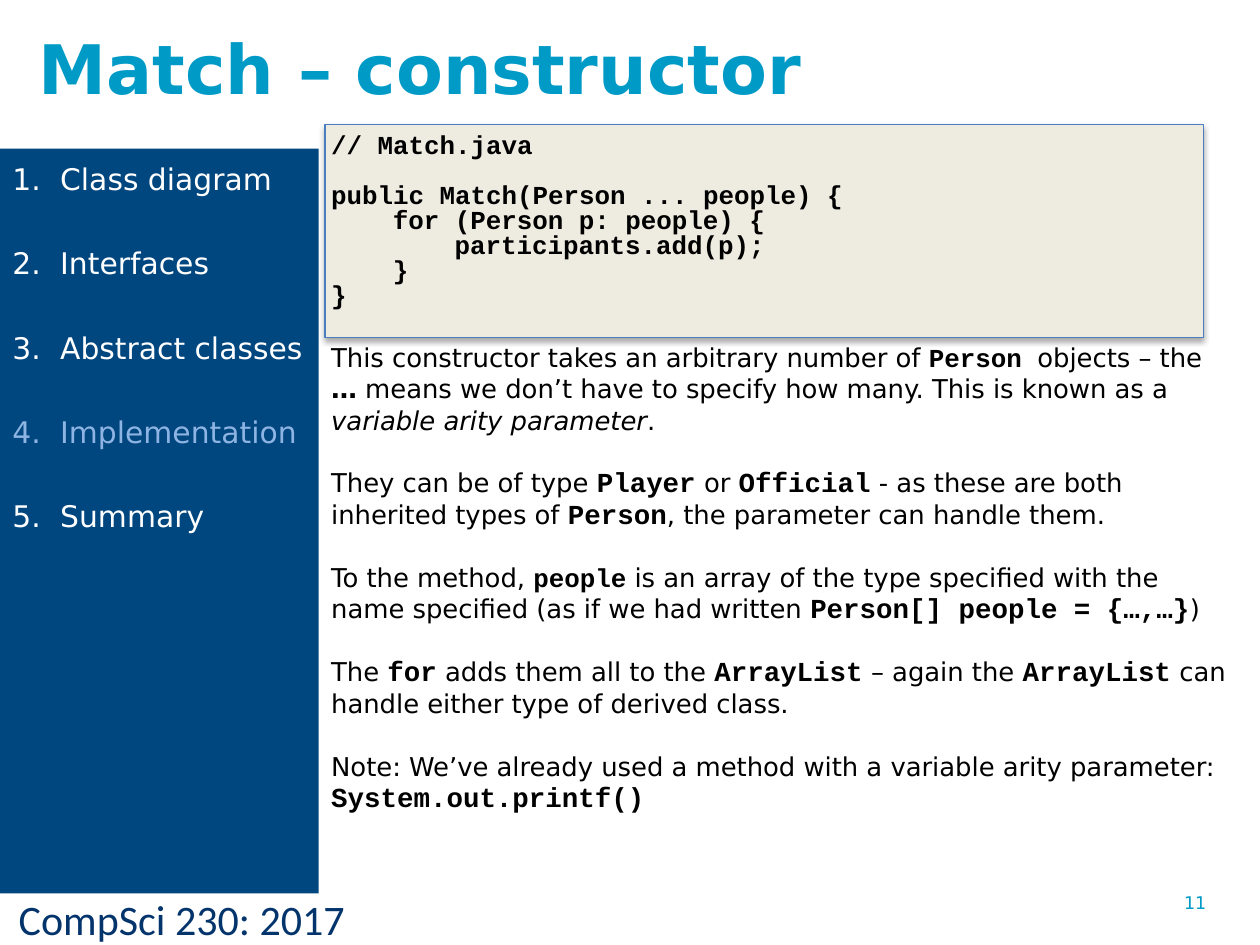
from dataclasses import dataclass

from lxml.etree import SubElement
from pptx import Presentation
from pptx.dml.color import RGBColor as Color
from pptx.enum.shapes import MSO_SHAPE as Shape
from pptx.enum.text import MSO_ANCHOR as Anchor, PP_ALIGN as Align
from pptx.oxml.ns import qn
from pptx.util import Inches, Pt


@dataclass(frozen=True)
class Theme:
    """Colours, fonts and type sizes of the slide."""
    sans: str = "DejaVu Sans"
    mono: str = "Courier New"
    footer_font: str = "Calibri"
    accent: str = "009AC7"
    ink: str = "000000"
    white: str = "FFFFFF"
    sidebar: str = "00467F"
    current: str = "8EB4E3"
    footer: str = "04346C"
    panel: str = "EEECE1"
    panel_line: str = "4B7EBC"
    title_size: float = 39
    footer_size: float = 24
    topic_size: float = 17
    body_size: float = 14.8
    keyword_size: float = 15.7
    number_size: float = 10


THEME = Theme()
WIDTH, HEIGHT = Inches(10), Inches(7.5)
CODE_INDENT = Inches(0.49)
TOPIC_INDENT = Inches(0.38)

STYLES = {
    "plain": {},
    "bold": {"bold": True},
    "italic": {"italic": True},
    "code": {"font": THEME.mono, "bold": True},
    "keyword": {"font": THEME.mono, "bold": True, "size": THEME.keyword_size},
}

TOPICS = ["Class diagram", "Interfaces", "Abstract classes", "Implementation", "Summary"]
CURRENT_TOPIC = "Implementation"

CODE = [
    (0, "// Match.java"),
    (0, "public Match(Person ... people) {"),
    (1, "for (Person p: people) {"),
    (2, "participants.add(p);"),
    (1, "}"),
    (0, "}"),
]

PROSE = [
    [("This constructor takes an arbitrary number of ", "plain"), ("Person ", "code"),
     ("objects – the ", "plain"), ("…", "bold"),
     (" means we don’t have to specify how many. This is known as a ", "plain"),
     ("variable arity parameter", "italic"), (".", "plain")],
    [("They can be of type ", "plain"), ("Player", "keyword"), (" or ", "plain"),
     ("Official", "keyword"), (" - as these are both inherited types of ", "plain"),
     ("Person", "keyword"), (", the parameter can handle them.", "plain")],
    [("To the method, ", "plain"), ("people", "code"),
     (" is an array of the type specified with the name specified (as if we had written ",
      "plain"), ("Person[] people = {…,…}", "keyword"), (")", "plain")],
    [("The ", "plain"), ("for", "keyword"), (" adds them all to the ", "plain"),
     ("ArrayList", "keyword"), (" – again the ", "plain"), ("ArrayList", "keyword"),
     (" can handle either type of derived class.", "plain")],
    [("Note: We’ve already used a method with a variable arity parameter: ", "plain"),
     ("System.out.printf()", "keyword")],
]


def place(left, top, width, height):
    """Turn percentages of the slide's size into lengths."""
    return (int(WIDTH * left / 100), int(HEIGHT * top / 100),
            int(WIDTH * width / 100), int(HEIGHT * height / 100))


def add_run(paragraph, text, font=THEME.sans, size=THEME.body_size, color=THEME.ink,
            bold=False, italic=False):
    """Append formatted text to a paragraph."""
    run = paragraph.add_run()
    run.text = text
    run.font.name = font
    run.font.size = Pt(size)
    run.font.color.rgb = Color.from_string(color)
    run.font.bold = bold
    run.font.italic = italic


def add_paragraph(frame, line=None, before=0):
    """Return the next left-aligned paragraph, using the empty first one if free."""
    first = frame.paragraphs[0]
    paragraph = frame.add_paragraph() if first.runs else first
    paragraph.alignment = Align.LEFT
    paragraph.space_before = Pt(before)
    if line:
        paragraph.line_spacing = Pt(line)
    return paragraph


def add_text_box(slide, box, anchor=Anchor.TOP):
    """Add a wrapping text box and return its frame."""
    frame = slide.shapes.add_textbox(*place(*box)).text_frame
    frame.word_wrap = True
    frame.vertical_anchor = anchor
    return frame


def add_label(slide, box, text, anchor=Anchor.TOP, **style):
    """Add a text box holding a single line."""
    add_run(add_paragraph(add_text_box(slide, box, anchor)), text, **style)


def add_rectangle(slide, box, fill, line=None):
    """Add a flat rectangle with an optional outline."""
    shape = slide.shapes.add_shape(Shape.RECTANGLE, *place(*box))
    shape.fill.solid()
    shape.fill.fore_color.rgb = Color.from_string(fill)
    if line:
        shape.line.color.rgb = Color.from_string(line)
        shape.line.width = Pt(0.75)
    else:
        shape.line.fill.background()
    shape.shadow.inherit = False
    return shape


def add_shadow(shape):
    """Give a shape a soft shadow below it."""
    effects = shape.element.spPr.find(qn("a:effectLst"))
    shadow = SubElement(effects, qn("a:outerShdw"), blurRad=str(Pt(3.1)),
                        dist=str(Pt(1.8)), dir="5400000", rotWithShape="0")
    color = SubElement(shadow, qn("a:srgbClr"), val=THEME.ink)
    SubElement(color, qn("a:alpha"), val="35000")


def set_indent(paragraph, left, hanging=0):
    """Set the left margin and hanging indent of a paragraph."""
    properties = paragraph._p.get_or_add_pPr()
    properties.set("marL", str(left))
    properties.set("indent", str(-hanging))
    return properties


def add_sidebar(slide, box):
    """Add the numbered list of topics with the current one tinted."""
    frame = add_rectangle(slide, box, THEME.sidebar).text_frame
    frame.word_wrap = True
    frame.vertical_anchor = Anchor.TOP
    for index, topic in enumerate(TOPICS):
        paragraph = add_paragraph(frame, line=24, before=24 if index else 0)
        properties = set_indent(paragraph, TOPIC_INDENT, TOPIC_INDENT)
        SubElement(properties, qn("a:buFont"), typeface="+mj-lt")
        SubElement(properties, qn("a:buAutoNum"), type="arabicPeriod")
        add_run(paragraph, topic, size=THEME.topic_size,
                color=THEME.current if topic == CURRENT_TOPIC else THEME.white)


def add_body(slide, box):
    """Add the code listing followed by its explanation."""
    frame = add_text_box(slide, box)
    frame.margin_right = Inches(0.05)
    for index, (level, text) in enumerate(CODE):
        paragraph = add_paragraph(frame, line=14.3, before=14 if index == 1 else 0)
        set_indent(paragraph, level * CODE_INDENT)
        add_run(paragraph, text, **STYLES["code"])
    for parts in PROSE:
        paragraph = add_paragraph(frame, line=18, before=18)
        for text, style in parts:
            add_run(paragraph, text, **STYLES[style])


def main():
    """Build the slide and save it."""
    presentation = Presentation()
    presentation.slide_width, presentation.slide_height = WIDTH, HEIGHT
    slide = presentation.slides.add_slide(presentation.slide_layouts[6])
    add_label(slide, (0.5, 93.87, 40.5, 6.67), "CompSci 230: 2017",
              font=THEME.footer_font, size=THEME.footer_size, color=THEME.footer)
    add_shadow(add_rectangle(slide, (25.8, 13.2, 69.7, 22.53), THEME.panel, THEME.panel_line))
    add_label(slide, (93, 93.73, 7, 6.93), "11",
              size=THEME.number_size, color=THEME.accent)
    add_body(slide, (25.3, 13.6, 73.1, 81.87))
    add_label(slide, (2.1, 1.87, 71.3, 10.4), "Match – constructor", Anchor.MIDDLE,
              size=THEME.title_size, color=THEME.accent, bold=True)
    add_sidebar(slide, (0, 15.73, 25.3, 78.8))
    presentation.save("out.pptx")


if __name__ == "__main__":
    main()
